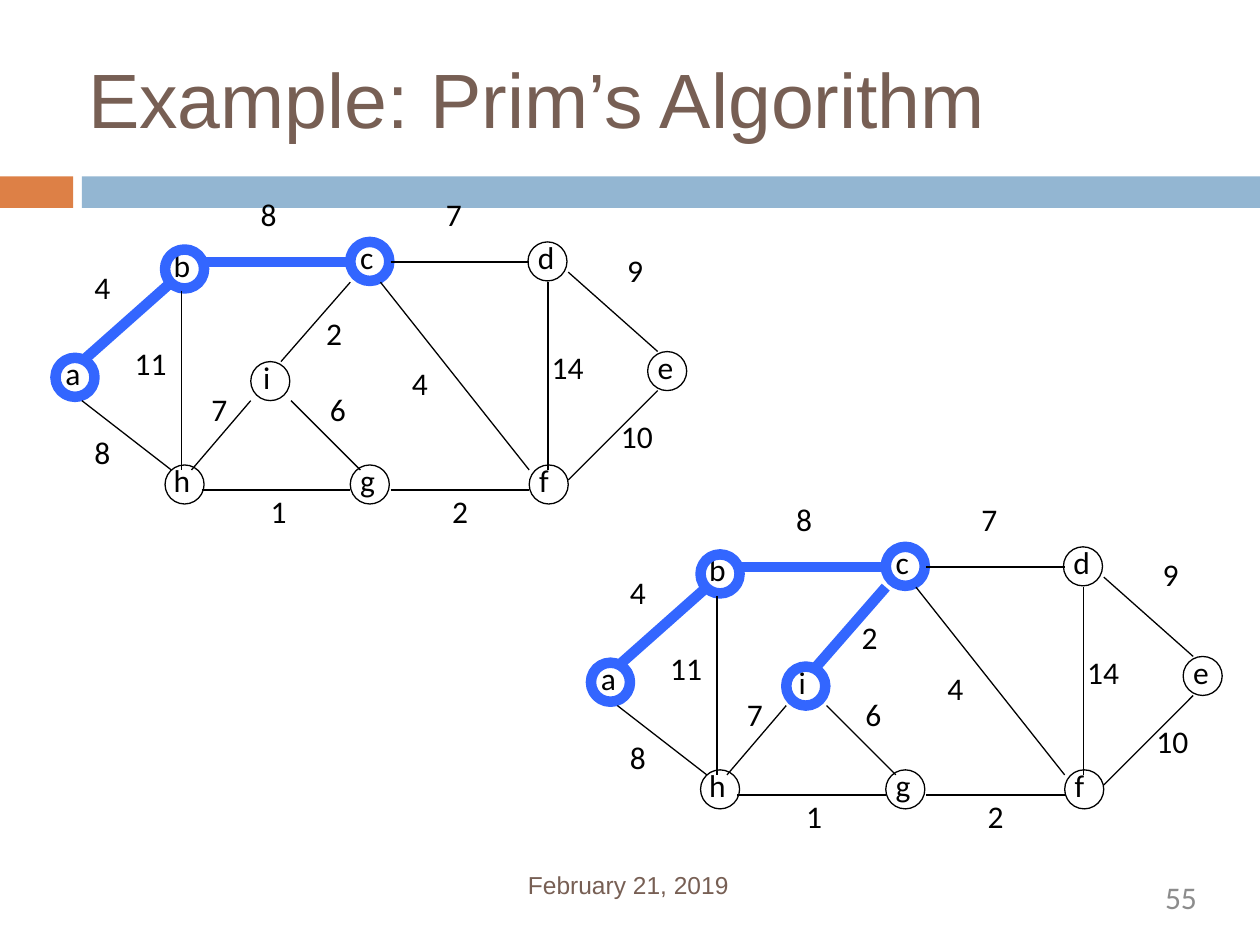
from lxml import etree
from pptx import Presentation
from pptx.dml.color import RGBColor
from pptx.enum.shapes import MSO_CONNECTOR, MSO_SHAPE
from pptx.enum.text import MSO_ANCHOR, MSO_AUTO_SIZE, PP_ALIGN
from pptx.oxml.ns import qn
from pptx.util import Inches, Pt

OVAL, RECTANGLE = MSO_SHAPE.OVAL, MSO_SHAPE.RECTANGLE
STRAIGHT = MSO_CONNECTOR.STRAIGHT
LEFT, RIGHT = PP_ALIGN.LEFT, PP_ALIGN.RIGHT

BLACK, BLUE, BROWN, GRAY = "000000", "3366FF", "775F54", "8C8C8C"
THIN, THICK = 0.75, 6
NODE_SIZE = 0.31

# (left, width, colour) of the pieces of the band under the title
BAND = [(0, 0.58, "DD8046"), (0.65, 9.35, "93B6D2")]

# name: circle left, circle top, label left, label width
NODES = {
    "a": (0.44, 2.84, 0.42, 0.32),
    "b": (1.31, 1.98, 1.28, 0.34),
    "h": (1.31, 3.69, 1.28, 0.34),
    "c": (2.78, 1.92, 2.76, 0.32),
    "d": (4.19, 1.92, 4.17, 0.34),
    "e": (5.14, 2.79, 5.12, 0.32),
    "f": (4.20, 3.69, 4.18, 0.29),
    "g": (2.78, 3.69, 2.76, 0.34),
    "i": (1.99, 2.87, 1.99, 0.28),
}

# edge: start, end, weight, weight position
EDGES = {
    "ab": ((0.65, 2.87), (1.36, 2.24), 4, (0.65, 2.08)),
    "ah": ((0.65, 3.18), (1.36, 3.73), 8, (0.65, 3.39)),
    "bh": ((1.44, 2.31), (1.44, 3.73), 11, (0.97, 2.68)),
    "bc": ((1.60, 2.08), (2.78, 2.08), 8, (1.97, 1.50)),
    "hg": ((1.60, 3.89), (2.78, 3.89), 1, (2.05, 3.86)),
    "gf": ((3.10, 3.89), (4.20, 3.89), 2, (3.49, 3.86)),
    "cf": ((3.02, 2.24), (4.20, 3.73), 4, (3.17, 2.84)),
    "cd": ((3.10, 2.08), (4.20, 2.08), 7, (3.44, 1.50)),
    "df": ((4.35, 2.24), (4.35, 3.73), 14, (4.28, 2.71)),
    "de": ((4.51, 2.16), (5.22, 2.79), 9, (4.88, 1.94)),
    "fe": ((4.51, 3.81), (5.22, 3.10), 10, (4.83, 3.26)),
    "ig": ((2.31, 3.18), (2.86, 3.73), 6, (2.52, 3.05)),
    "hi": ((1.52, 3.73), (1.99, 3.18), 7, (1.58, 3.05)),
    "ic": ((2.23, 2.87), (2.78, 2.24), 2, (2.49, 2.44)),
}

# (horizontal shift, vertical shift, edges chosen so far)
STEPS = [(0, 0, ["ab", "bc"]), (4.25, 2.42, ["ab", "bc", "ic"])]


def color(value):
    return RGBColor.from_string(value)


def style_line(line, chosen):
    line.color.rgb = color(BLUE if chosen else BLACK)
    line.width = Pt(THICK if chosen else THIN)


def format_text(shape, text, size, font, hex_color, align=LEFT):
    frame = shape.text_frame
    frame.text = text
    paragraph = frame.paragraphs[0]
    paragraph.alignment = align
    paragraph.font.size = Pt(size)
    paragraph.font.name = font
    paragraph.font.color.rgb = color(hex_color)
    return frame


def remove_margins(frame):
    frame.margin_left = frame.margin_right = 0
    frame.margin_top = frame.margin_bottom = 0
    frame.word_wrap = True


def add_label(shapes, text, left, top, width, height):
    box = shapes.add_textbox(*map(Inches, (left, top, width, height)))
    frame = format_text(box, text, 18, "Calibri", BLACK)
    frame.word_wrap = False
    frame.auto_size = MSO_AUTO_SIZE.SHAPE_TO_FIT_TEXT


def add_graph(slide, dx, dy, chosen_edges):
    """Draw the whole graph, with the chosen edges and their nodes in blue."""
    shapes = slide.shapes.add_group_shape().shapes
    chosen_nodes = set("".join(chosen_edges))

    for name, (left, top, label_left, label_width) in NODES.items():
        add_label(shapes, name, label_left + dx, top - 0.08 + dy, label_width, 0.43)
        circle = shapes.add_shape(OVAL, Inches(left + dx), Inches(top + dy),
                                  Inches(NODE_SIZE), Inches(NODE_SIZE))
        circle.shadow.inherit = False
        circle.fill.background()
        style_line(circle.line, name in chosen_nodes)

    for name, ((x1, y1), (x2, y2), _, _) in EDGES.items():
        edge = shapes.add_connector(STRAIGHT, Inches(x1 + dx), Inches(y1 + dy),
                                    Inches(x2 + dx), Inches(y2 + dy))
        style_line(edge.line, name in chosen_edges)
        etree.SubElement(edge._element.spPr, qn("a:effectLst"))

    for _, _, weight, (left, top) in EDGES.values():
        width = 0.53 if weight > 9 else 0.37
        add_label(shapes, str(weight), left + dx, top + dy, width, 0.5)


def add_footer(slide, text, area, *text_format):
    box = slide.shapes.add_textbox(*map(Inches, area))
    frame = format_text(box, text, *text_format)
    remove_margins(frame)
    return frame


def main():
    presentation = Presentation()
    presentation.slide_width, presentation.slide_height = Inches(10), Inches(7.5)
    slide = presentation.slides.add_slide(presentation.slide_layouts[5])

    for left, width, hex_color in BAND:
        bar = slide.shapes.add_shape(RECTANGLE, Inches(left), Inches(1.4),
                                     Inches(width), Inches(0.25))
        bar.shadow.inherit = False
        bar.fill.solid()
        bar.fill.fore_color.rgb = color(hex_color)
        bar.line.fill.background()

    title = slide.shapes.title
    title.left, title.top = Inches(0.7), Inches(0.38)
    title.width, title.height = Inches(8.6), Inches(0.76)
    frame = format_text(title, "Example: Prim’s Algorithm", 44, "Arial", BROWN)
    remove_margins(frame)
    frame.auto_size = MSO_AUTO_SIZE.NONE
    frame.vertical_anchor = MSO_ANCHOR.BOTTOM

    date = add_footer(slide, "February 21, 2019", (4.19, 6.92, 2.32, 0.24),
                      14, "Arial", BROWN)
    date.paragraphs[0].line_spacing = Pt(15.8)
    add_footer(slide, "55", (7.2, 6.97, 2.3, 0.38), 18, "Calibri", GRAY, RIGHT)

    for step in STEPS:
        add_graph(slide, *step)

    presentation.save("out.pptx")


if __name__ == "__main__":
    main()
